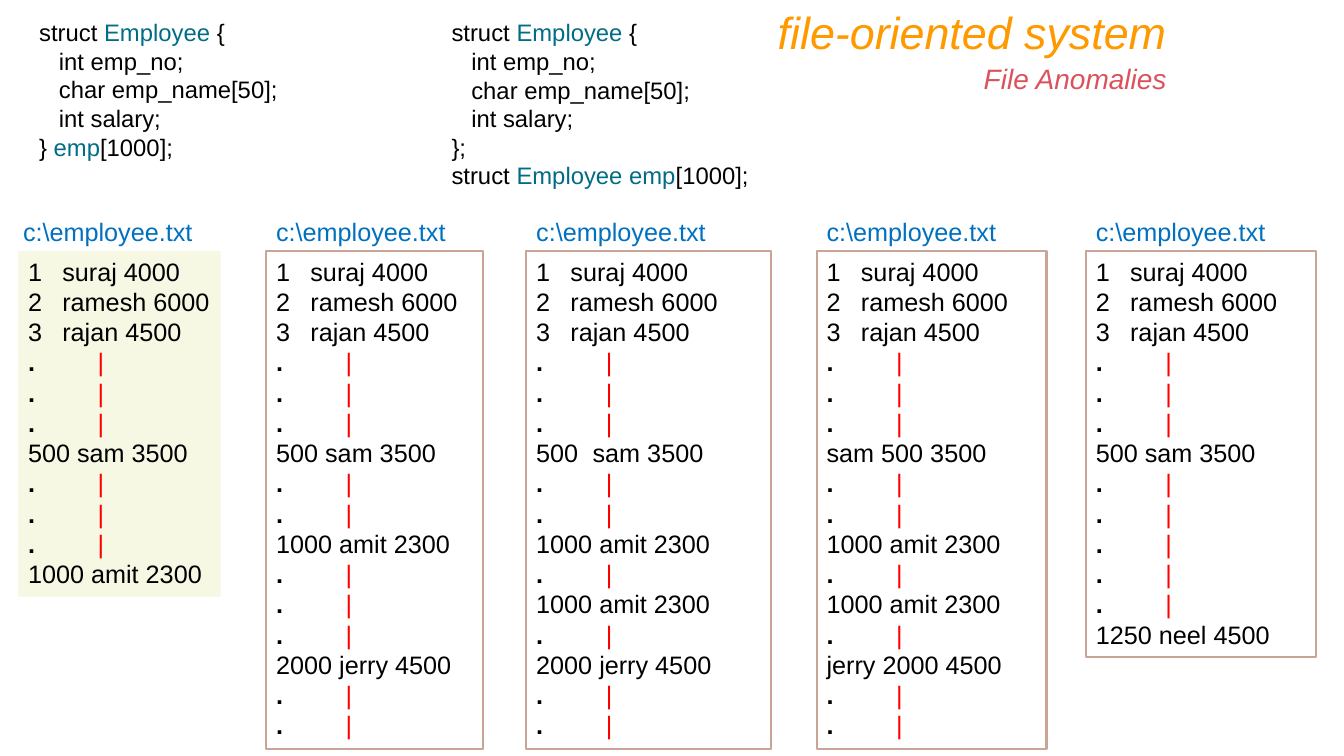
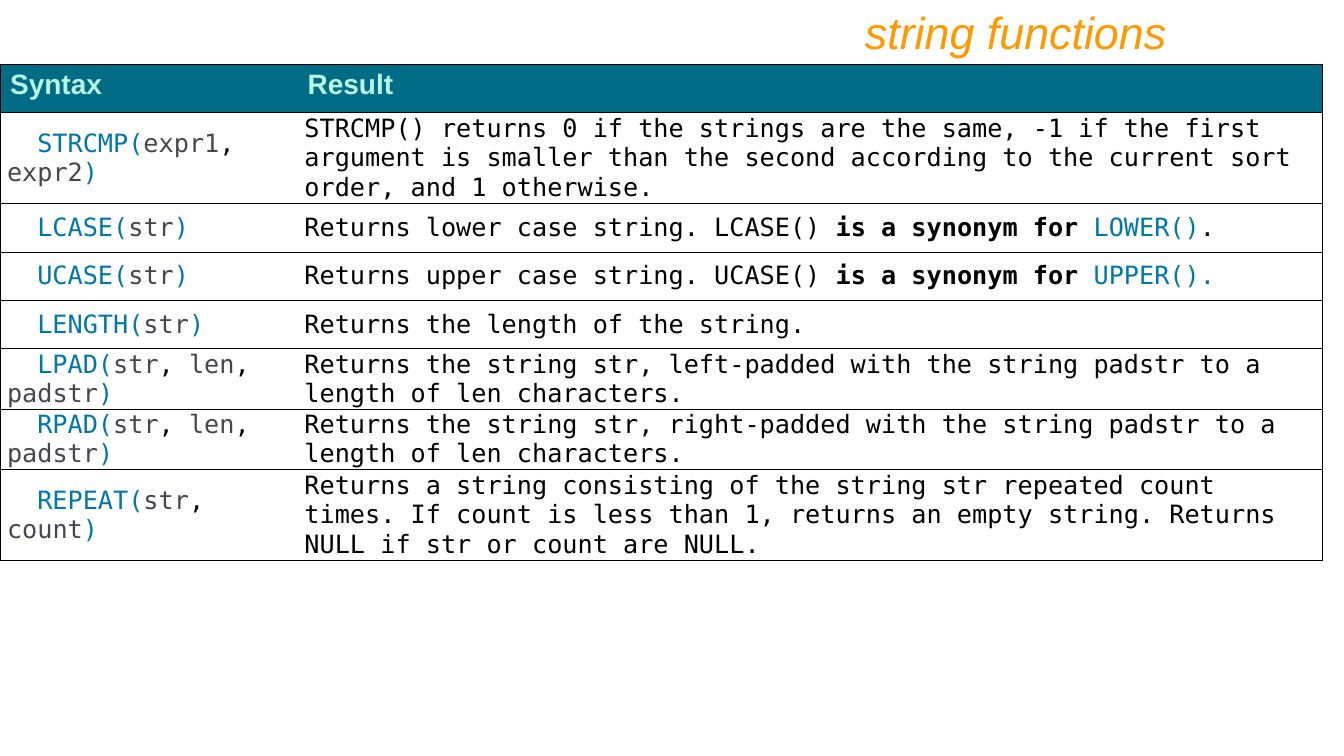
from dataclasses import dataclass
from typing import NamedTuple

from lxml.etree import SubElement
from pptx import Presentation
from pptx.dml.color import RGBColor
from pptx.enum.shapes import MSO_SHAPE as Preset
from pptx.enum.text import MSO_ANCHOR as Anchor, MSO_AUTO_SIZE as AutoSize, PP_ALIGN as Align
from pptx.oxml import parse_xml
from pptx.oxml.ns import nsdecls, qn
from pptx.util import Inches, Pt


@dataclass(frozen=True)
class Theme:
    sans: str = "Arial"
    mono: str = "DejaVu Sans Mono"
    ink: str = "000000"
    title: str = "FF9900"
    subtitle: str = "DC525C"
    teal: str = "006C86"
    path_blue: str = "0070C0"
    marker: str = "FF0000"
    card_fill: str = "F6F8E4"
    card_line: str = "CAA496"
    header_text: str = "B7F7E2"
    function: str = "0077AA"
    argument: str = "464653"
    title_size: int = 32
    heading_size: int = 20
    body_size: int = 18
    code_size: int = 17


class Box(NamedTuple):
    left: float
    top: float
    width: float
    height: float

    def inches(self):
        return [Inches(round(length, 2)) for length in self]


class Run(NamedTuple):
    text: str
    color: str = ""
    bold: bool = False


THEME = Theme()
TITLE_BOX = Box(1.67, 0, 10, 0.64)
SUBTITLE_BOX = Box(9.64, 0.56, 2.03, 0.44)
RECORD_TABS = (0.34, 0.56)
MARKER_TABS = (0.69,)

GAP = [Run(".", bold=True), Run("\t|", THEME.marker)]
FIRST_RECORDS = ["1\tsuraj 4000", "2\tramesh 6000", "3\trajan 4500", GAP, GAP, GAP]
AMIT = "1000 amit 2300"
FILES = [
    (0.18, 2.01, ["500 sam 3500", GAP, GAP, GAP, AMIT]),
    (2.64, 2.15, ["500 sam 3500", GAP, GAP, AMIT, GAP, GAP, GAP, "2000 jerry 4500", GAP, GAP]),
    (5.22, 2.43, ["500\tsam 3500", GAP, GAP, AMIT, GAP, AMIT, GAP, "2000 jerry 4500", GAP, GAP]),
    (8.1, 2.28, ["sam 500 3500", GAP, GAP, AMIT, GAP, AMIT, GAP, "jerry 2000 4500", GAP, GAP]),
    (10.77, 2.28, ["500 sam 3500", GAP, GAP, GAP, GAP, GAP, "1250 neel 4500"]),
]

STRUCT_LINES = [
    [Run("struct "), Run("Employee", THEME.teal), Run(" {")],
    "   int emp_no;",
    "   char emp_name[50];",
    "   int salary;",
]
STRUCT_WITH_ARRAY = STRUCT_LINES + [[Run("} "), Run("emp", THEME.teal), Run("[1000];")]]
STRUCT_THEN_ARRAY = STRUCT_LINES + [
    "};",
    [Run("struct "), Run("Employee emp", THEME.teal), Run("[1000];")],
]

FUNCTIONS = [
    ("STRCMP", ["expr1", "expr2"],
     "STRCMP() returns 0 if the strings are the same, -1 if the first argument is smaller "
     "than the second according to the current sort order, and 1 otherwise."),
    ("LCASE", ["str"],
     [Run("Returns lower case string. LCASE() "), Run("is a synonym for ", bold=True),
      Run("LOWER()", THEME.function), Run(".")]),
    ("UCASE", ["str"],
     [Run("Returns upper case string. UCASE() "), Run("is a synonym for ", bold=True),
      Run("UPPER().", THEME.function)]),
    ("LENGTH", ["str"], "Returns the length of the string."),
    ("LPAD", ["str", "len", "padstr"],
     "Returns the string str, left-padded with the string padstr to a length of len characters."),
    ("RPAD", ["str", "len", "padstr"],
     "Returns the string str, right-padded with the string padstr to a length of len characters."),
    ("REPEAT", ["str", "count"],
     "Returns a string consisting of the string str repeated count times. If count is less "
     "than 1, returns an empty string. Returns NULL if str or count are NULL."),
]


def add_tabs(paragraph, positions):
    tab_list = SubElement(paragraph._p.get_or_add_pPr(), qn("a:tabLst"))
    for position in positions:
        SubElement(tab_list, qn("a:tab"), pos=str(Inches(position)), algn="l")


def write_text(frame, lines, *, size, color=THEME.ink, font=THEME.sans, bold=False,
               italic=False, align=Align.LEFT, indent=0):
    frame.word_wrap = True
    for index, line in enumerate(lines):
        paragraph = frame.paragraphs[0] if index == 0 else frame.add_paragraph()
        paragraph.alignment = align
        if indent:
            properties = paragraph._p.get_or_add_pPr()
            properties.set("marL", "0")
            properties.set("indent", str(Inches(indent)))
        runs = [Run(line)] if isinstance(line, str) else line
        if any("\t" in part.text for part in runs):
            add_tabs(paragraph, MARKER_TABS if line is GAP else RECORD_TABS)
        for part in runs:
            run = paragraph.add_run()
            run.text = part.text
            run.font.name = font
            run.font.size = Pt(size)
            run.font.bold = bold or part.bold
            run.font.italic = italic
            run.font.color.rgb = RGBColor.from_string(part.color or color)


def add_text_box(slide, box, lines, **text_format):
    frame = slide.shapes.add_textbox(*box.inches()).text_frame
    write_text(frame, lines, **text_format)
    frame.auto_size = AutoSize.SHAPE_TO_FIT_TEXT


def add_title(slide, text):
    add_text_box(slide, TITLE_BOX, [text], size=THEME.title_size, color=THEME.title,
                 italic=True, align=Align.RIGHT)


def add_file_card(slide, box, records, *, filled):
    label_left = box.left - 0.05 if filled else box.left
    add_text_box(slide, Box(label_left, box.top - 0.39, box.width, 0.4),
                 ["c:\\employee.txt"], size=THEME.body_size, color=THEME.path_blue)
    card = slide.shapes.add_shape(Preset.RECTANGLE, *box.inches())
    card.shadow.inherit = False
    if filled:
        card.fill.solid()
        card.fill.fore_color.rgb = RGBColor.from_string(THEME.card_fill)
        card.line.fill.background()
    else:
        card.fill.background()
        card.line.color.rgb = RGBColor.from_string(THEME.card_line)
        card.line.width = Pt(1.5)
    card.text_frame.vertical_anchor = Anchor.TOP
    write_text(card.text_frame, records, size=THEME.body_size)
    card.text_frame.auto_size = AutoSize.SHAPE_TO_FIT_TEXT


def set_borders(cell, sides):
    properties = cell._tc.get_or_add_tcPr()
    for index, side in enumerate("LRTB"):
        paint = (f'<a:solidFill><a:srgbClr val="{THEME.ink}"/></a:solidFill>'
                 if side in sides else "<a:noFill/>")
        border = parse_xml(f'<a:ln{side} {nsdecls("a")} w="{Pt(0.75)}">{paint}</a:ln{side}>')
        properties.insert(index, border)


def syntax_runs(name, arguments):
    runs = [Run(f"{name}(", THEME.function)]
    for index, argument in enumerate(arguments):
        if index:
            runs.append(Run(","))
        runs.append(Run(f" {argument}" if index else argument, THEME.argument))
    return runs + [Run(")", THEME.function)]


def add_function_table(slide, box, functions):
    row_count = len(functions) + 1
    table = slide.shapes.add_table(row_count, 2, *box.inches()).table
    table.first_row = table.horz_banding = False
    syntax_width = 2.95
    table.columns[0].width = Inches(syntax_width)
    table.columns[1].width = Inches(round(box.width - syntax_width, 2))
    for row in table.rows:
        row.height = Inches(round(box.height / row_count, 2))

    for column, heading in enumerate(["Syntax", "Result"]):
        cell = table.cell(0, column)
        cell.fill.solid()
        cell.fill.fore_color.rgb = RGBColor.from_string(THEME.teal)
        write_text(cell.text_frame, [heading], size=THEME.heading_size,
                   color=THEME.header_text, bold=True)

    for row, (name, arguments, result) in enumerate(functions, start=1):
        for column, line in enumerate([syntax_runs(name, arguments), result]):
            cell = table.cell(row, column)
            cell.fill.background()
            cell.vertical_anchor = Anchor.MIDDLE
            cell.margin_left = cell.margin_right = Inches(0.07)
            cell.margin_top = cell.margin_bottom = 0
            write_text(cell.text_frame, [line], size=THEME.body_size, font=THEME.mono,
                       indent=0 if column else 0.3)

    for row in range(row_count):
        set_borders(table.cell(row, 0), "LTB")
        set_borders(table.cell(row, 1), "RTB")


def build_file_slide(slide):
    add_text_box(slide, Box(0.29, 0.13, 3.23, 1.53), STRUCT_WITH_ARRAY, size=THEME.code_size)
    add_text_box(slide, Box(4.38, 0.13, 4.25, 1.82), STRUCT_THEN_ARRAY, size=THEME.code_size)
    add_title(slide, "file-oriented system")
    add_text_box(slide, SUBTITLE_BOX, ["File Anomalies"], size=THEME.heading_size,
                 color=THEME.subtitle, italic=True, align=Align.RIGHT)
    line_height = THEME.body_size * 1.21 / 72
    for index, (left, width, records) in enumerate(FILES):
        lines = FIRST_RECORDS + records
        box = Box(left, 2.49, width, 0.1 + line_height * len(lines))
        add_file_card(slide, box, lines, filled=index == 0)


def build_function_slide(slide):
    add_function_table(slide, Box(0, 0.64, 13.12, 3.87), FUNCTIONS)
    add_title(slide, "string functions")


def main():
    presentation = Presentation()
    presentation.slide_width = Inches(13.33)
    presentation.slide_height = Inches(7.5)
    blank = presentation.slide_layouts[6]
    for build in (build_file_slide, build_function_slide):
        build(presentation.slides.add_slide(blank))
    presentation.save("out.pptx")


if __name__ == "__main__":
    main()
